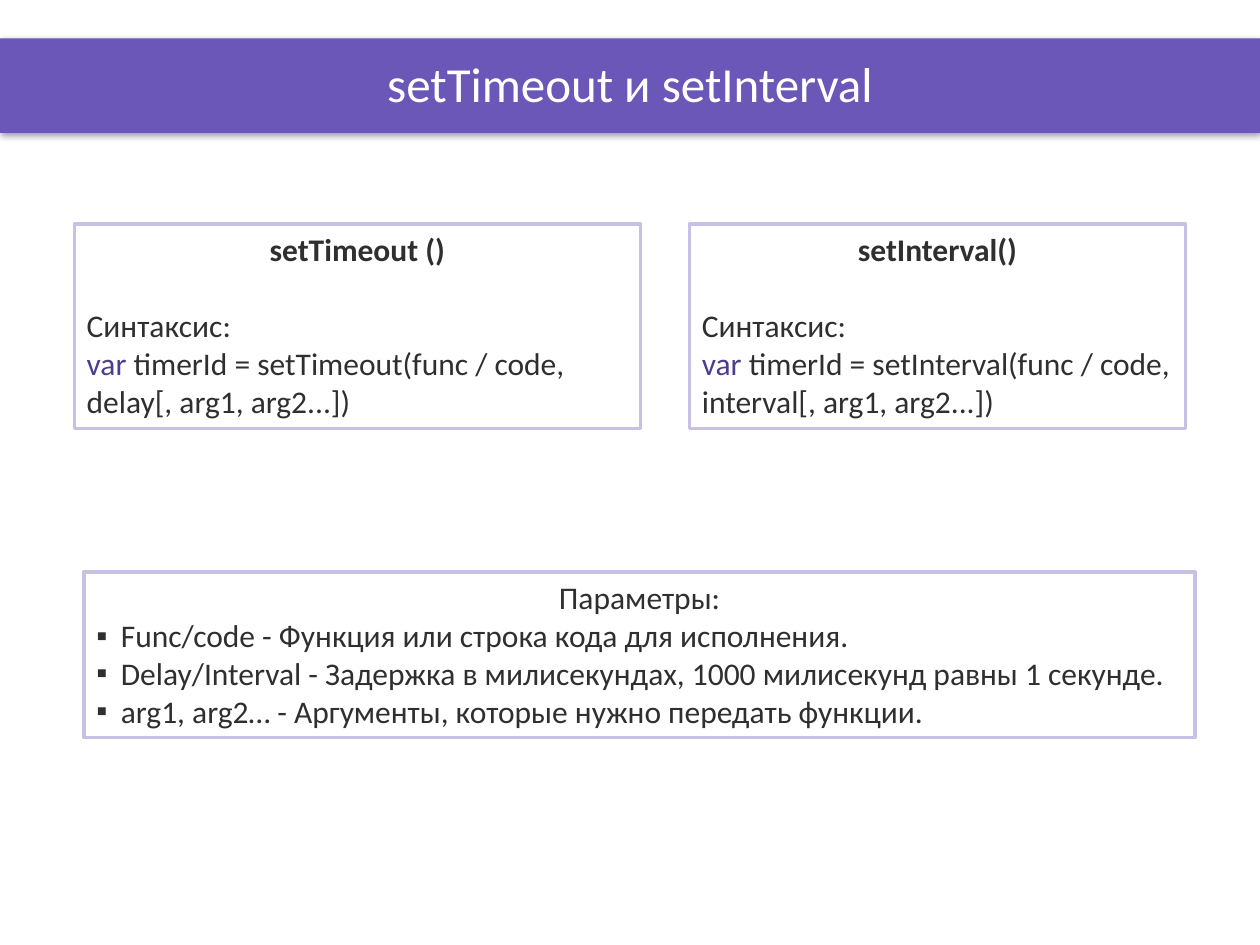
from lxml.etree import SubElement
from pptx import Presentation
from pptx.dml.color import RGBColor
from pptx.enum.shapes import MSO_SHAPE as Shape
from pptx.enum.text import MSO_ANCHOR as Anchor, MSO_AUTO_SIZE as AutoSize, PP_ALIGN as Align
from pptx.oxml.ns import qn
from pptx.util import Pt

COLORS = {
    "band": "6A57B7",
    "border": "C8C1E5",
    "keyword": "4D3D8E",
    "text": "2F2F2F",
    "white": "FFFFFF",
    "shadow": "000000",
}
FONT = "Calibri"
BODY_SIZE = 18
LINE_HEIGHT = 22
BULLET_INDENT = 14


def color(name):
    return RGBColor.from_string(COLORS[name])


def format_run(run, size=BODY_SIZE, color_name="text", bold=False):
    run.font.name = FONT
    run.font.size = Pt(size)
    run.font.bold = bold
    run.font.color.rgb = color(color_name)


def add_rectangle(slide, left, top, width, height, fill):
    shape = slide.shapes.add_shape(
        Shape.RECTANGLE, Pt(left), Pt(top), Pt(width), Pt(height))
    shape.shadow.inherit = False
    shape.fill.solid()
    shape.fill.fore_color.rgb = color(fill)
    shape.line.fill.background()
    return shape


def add_shadow(shape):
    effects = shape._element.spPr.find(qn("a:effectLst"))
    shadow = SubElement(effects, qn("a:outerShdw"), blurRad=str(Pt(4)),
                        dist=str(Pt(1)), dir="5400000", rotWithShape="0")
    shade = SubElement(shadow, qn("a:srgbClr"), val=COLORS["shadow"])
    SubElement(shade, qn("a:alpha"), val="40000")


def add_title(slide, text):
    add_shadow(add_rectangle(slide, 0, 22, 720, 54, "band"))
    title = slide.shapes.add_textbox(Pt(36), Pt(0), Pt(648), Pt(94.5))
    text_frame = title.text_frame
    text_frame.word_wrap = True
    text_frame.vertical_anchor = Anchor.MIDDLE
    text_frame.text = text
    paragraph = text_frame.paragraphs[0]
    paragraph.alignment = Align.CENTER
    format_run(paragraph.runs[0], 28, "white")


def add_box(slide, left, top, width, height, heading, lines, bold=False):
    """Outlined box with a centred heading above left-aligned lines."""
    shape = add_rectangle(slide, left, top, width, height, "white")
    shape.line.color.rgb = color("border")
    shape.line.width = Pt(2)
    text_frame = shape.text_frame
    text_frame.word_wrap = True
    text_frame.auto_size = AutoSize.SHAPE_TO_FIT_TEXT
    text_frame.vertical_anchor = Anchor.TOP
    text_frame.text = "\n".join([heading, *lines])
    for paragraph in text_frame.paragraphs:
        paragraph.alignment = Align.LEFT
        format_run(paragraph.runs[0])
    first = text_frame.paragraphs[0]
    first.alignment = Align.CENTER
    first.runs[0].font.bold = bold
    return text_frame.paragraphs


def add_syntax_box(slide, left, width, heading, call):
    paragraphs = add_box(slide, left, 128, width, 117, heading,
                         ["Синтаксис:", "var "], bold=True)
    paragraphs[0].space_after = Pt(LINE_HEIGHT)
    declaration = paragraphs[-1]
    declaration.runs[0].font.color.rgb = color("keyword")
    run = declaration.add_run()
    run.text = f"timerId = {call}"
    format_run(run)


def add_bullet(paragraph):
    properties = paragraph._p.get_or_add_pPr()
    properties.set("marL", str(Pt(BULLET_INDENT)))
    properties.set("indent", str(-Pt(BULLET_INDENT)))
    SubElement(properties, qn("a:buFont"), typeface="Arial")
    SubElement(properties, qn("a:buChar"), char="▪")


def main():
    presentation = Presentation()
    presentation.slide_width, presentation.slide_height = Pt(720), Pt(540)
    slide = presentation.slides.add_slide(presentation.slide_layouts[6])

    # Title band
    add_title(slide, "setTimeout и setInterval")

    # Syntax of the two functions
    add_syntax_box(slide, 42.5, 323.5, "setTimeout ()",
                   "setTimeout(func / code, delay[, arg1, arg2...])")
    add_syntax_box(slide, 394, 283.5, "setInterval()",
                   "setInterval(func / code, interval[, arg1, arg2...])")

    # Parameters
    parameters = add_box(slide, 48, 327, 635, 94.5, "Параметры:", [
        "Func/code - Функция или строка кода для исполнения.",
        "Delay/Interval - Задержка в милисекундах, 1000 милисекунд равны 1 секунде.",
        "arg1,\u00a0arg2… - Аргументы, которые нужно передать функции.",
    ])
    for paragraph in parameters[1:]:
        add_bullet(paragraph)

    presentation.save("out.pptx")


main()
